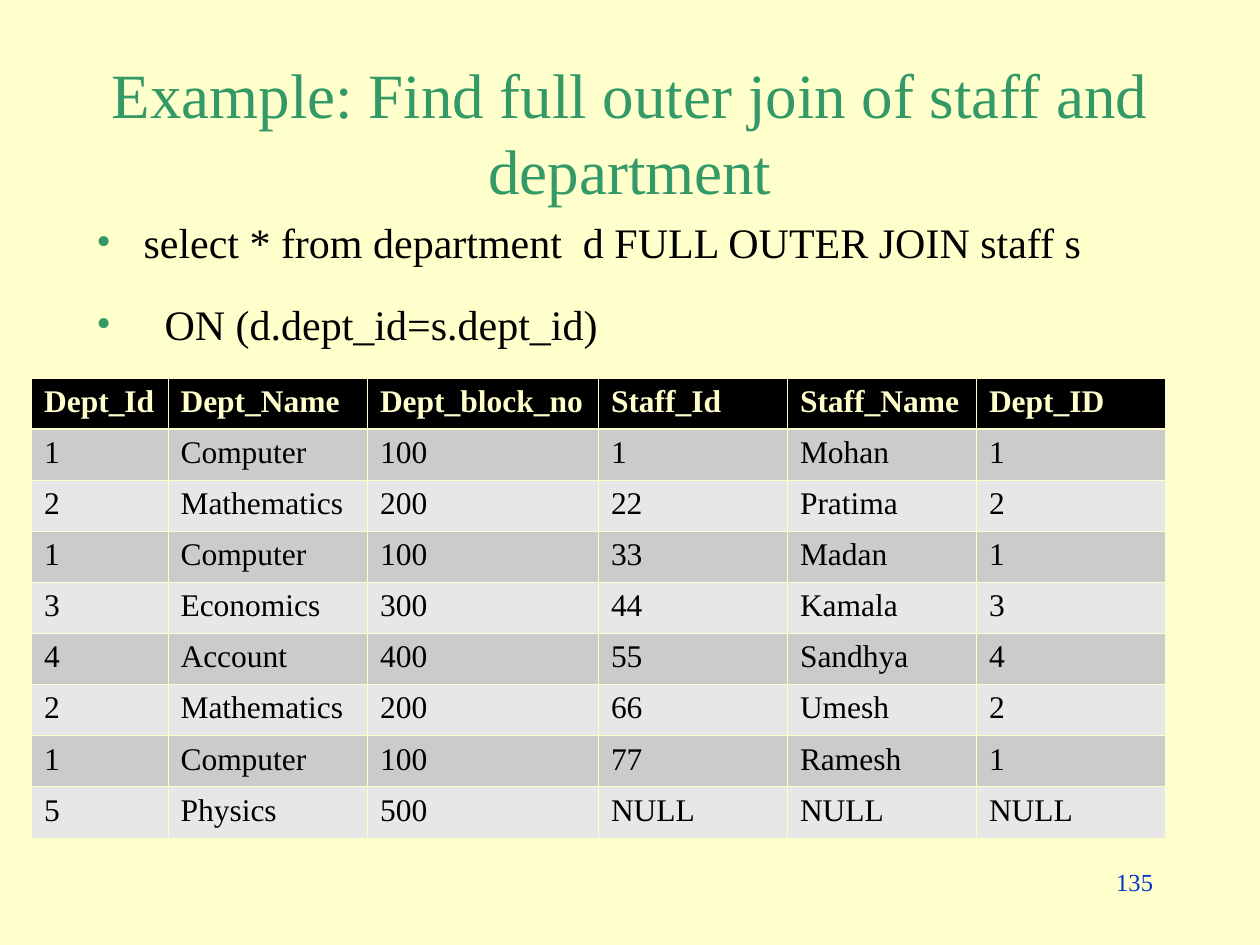
import pptx
import pptx.dml.color
import pptx.enum.text
import pptx.oxml
import pptx.oxml.ns
import pptx.util

Pt = pptx.util.Pt
ALIGN = pptx.enum.text.PP_ALIGN
ANCHOR = pptx.enum.text.MSO_ANCHOR
COLORS = {
    "cream": "FFFFCC", "green": "339966", "blue": "0033CC", "black": "000000",
    "dark_band": "CBCBCB", "light_band": "E7E7E7",
}
QUERY = [
    "select * from department  d FULL OUTER JOIN staff s",
    "  ON (d.dept_id=s.dept_id)",
]
COLUMN_WIDTHS = [78, 114, 132, 108, 108, 108]
ROWS = [
    ["Dept_Id", "Dept_Name", "Dept_block_no", "Staff_Id", "Staff_Name", "Dept_ID"],
    ["1", "Computer", "100", "1", "Mohan", "1"],
    ["2", "Mathematics", "200", "22", "Pratima", "2"],
    ["1", "Computer", "100", "33", "Madan", "1"],
    ["3", "Economics", "300", "44", "Kamala", "3"],
    ["4", "Account", "400", "55", "Sandhya", "4"],
    ["2", "Mathematics", "200", "66", "Umesh", "2"],
    ["1", "Computer", "100", "77", "Ramesh", "1"],
    ["5", "Physics", "500", "NULL", "NULL", "NULL"],
]


def rgb(name):
    return pptx.dml.color.RGBColor.from_string(COLORS[name])


def add_xml(parent, xml):
    namespace = pptx.oxml.ns.nsdecls("a")
    parent.append(pptx.oxml.parse_xml(xml.replace(" ", f" {namespace} ", 1)))


class SlideBuilder:
    """Holds the shared style and the slide being built."""

    font_name = "Times New Roman"

    def __init__(self, presentation, background):
        self.slide = presentation.slides.add_slide(presentation.slide_layouts[6])
        fill = self.slide.background.fill
        fill.solid()
        fill.fore_color.rgb = rgb(background)

    def style(self, paragraph, color, **formats):
        font = paragraph.font
        for name, value in {"name": self.font_name, **formats}.items():
            setattr(font, name, value)
        font.color.rgb = rgb(color)

    def text(self, box, lines, color, size, align=ALIGN.LEFT, anchor=ANCHOR.TOP,
             bullet=None, gap=0):
        frame = self.slide.shapes.add_textbox(*map(Pt, box)).text_frame
        for name, value in {"word_wrap": True, "vertical_anchor": anchor}.items():
            setattr(frame, name, value)
        for index, line in enumerate(lines):
            paragraph = frame.add_paragraph() if index else frame.paragraphs[0]
            paragraph.text = line
            paragraph.alignment = align
            if index:
                paragraph.space_before = Pt(gap)
            if bullet:
                self.bullet(paragraph, bullet)
            self.style(paragraph, color, size=Pt(size))

    def bullet(self, paragraph, color, indent=27):
        properties = paragraph._p.get_or_add_pPr()
        properties.set("marL", str(Pt(indent)))
        properties.set("indent", str(-Pt(indent)))
        add_xml(properties, f'<a:buClr ><a:srgbClr val="{COLORS[color]}"/></a:buClr>')
        add_xml(properties, '<a:buFont typeface="Times New Roman"/>')
        add_xml(properties, '<a:buChar char="•"/>')

    def table(self, left, top, widths, row_height, rows):
        table = self.slide.shapes.add_table(
            len(rows), len(widths), Pt(left), Pt(top),
            Pt(sum(widths)), Pt(row_height * len(rows))).table
        for column, width in zip(table.columns, widths):
            column.width = Pt(width)
        for row_index, values in enumerate(rows):
            table.rows[row_index].height = Pt(row_height)
            for column_index, value in enumerate(values):
                self.cell(table.cell(row_index, column_index), value, row_index)

    def cell(self, cell, value, row_index):
        header = row_index == 0
        band = "dark_band" if row_index % 2 else "light_band"
        cell.text = value
        self.style(cell.text_frame.paragraphs[0], "cream" if header else "black",
                   size=Pt(18), bold=header)
        widths = {"L": 0.45, "R": 0.45, "T": 1.47 if row_index == 1 else 0.45,
                  "B": 1.47 if header else 0.45}
        for side, width in widths.items():
            add_xml(cell._tc.get_or_add_tcPr(),
                    f'<a:ln{side} w="{Pt(width)}"><a:solidFill>'
                    f'<a:srgbClr val="{COLORS["cream"]}"/></a:solidFill></a:ln{side}>')
        cell.fill.solid()
        cell.fill.fore_color.rgb = rgb("black" if header else band)


def main():
    presentation = pptx.Presentation()
    presentation.slide_width, presentation.slide_height = Pt(720), Pt(540)
    builder = SlideBuilder(presentation, "cream")
    builder.text((54, 48, 612, 54), ["Example: Find full outer join of staff and department"],
                 "green", 36, align=ALIGN.CENTER, anchor=ANCHOR.MIDDLE)
    builder.text((48, 120, 612, 360), QUERY, "black", 24, bullet="green", gap=18)
    builder.text((516, 492, 150, 36), ["135"], "blue", 14, align=ALIGN.RIGHT)
    builder.table(18, 216, COLUMN_WIDTHS, 29.2, ROWS)
    presentation.save("out.pptx")


if __name__ == "__main__":
    main()
